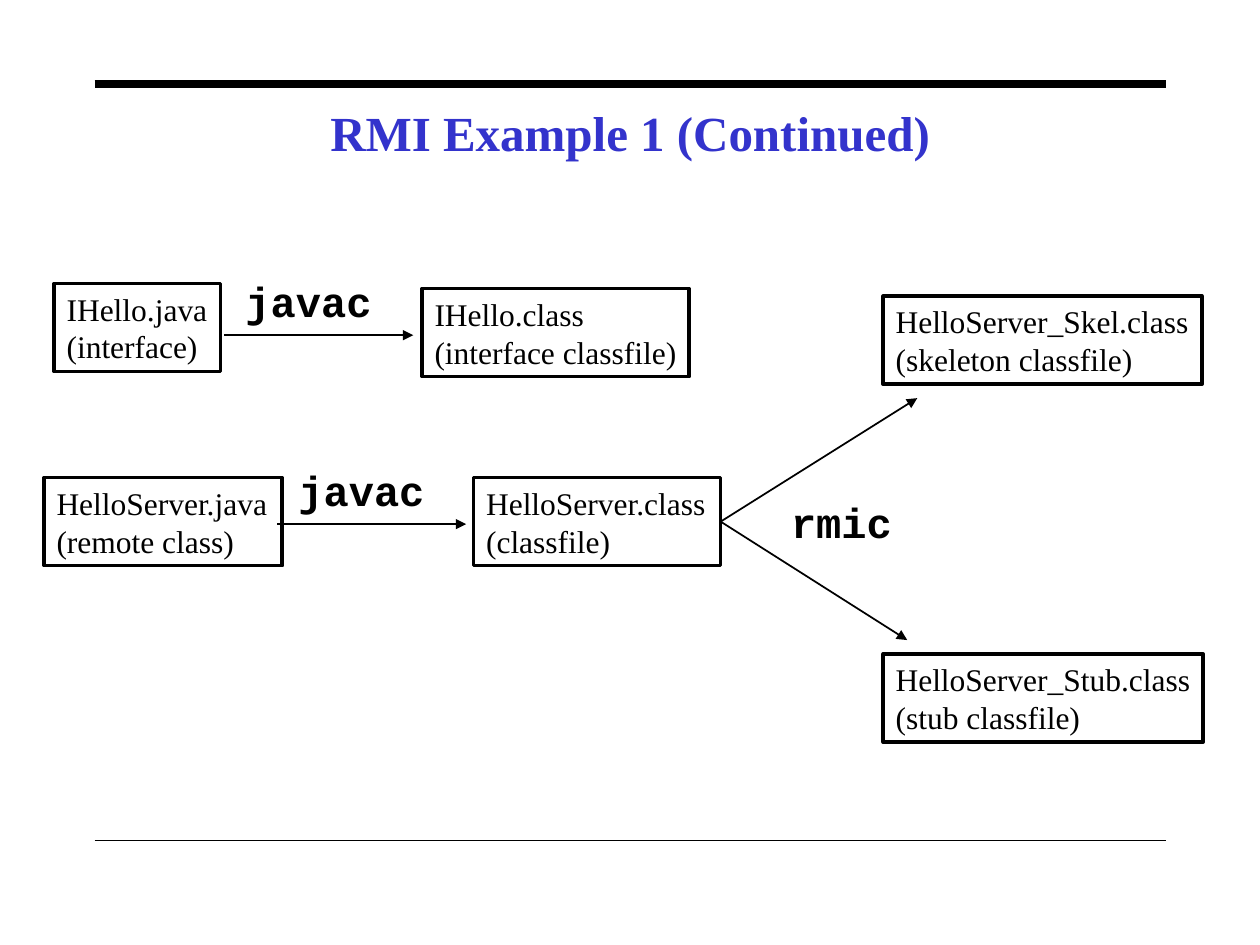
"""Build the slide showing how the RMI example is compiled."""
from dataclasses import dataclass

from lxml import etree
from pptx import Presentation
from pptx import util as u
from pptx.dml.color import RGBColor
from pptx.enum import shapes, text
from pptx.oxml.ns import qn


@dataclass(frozen=True)
class Theme:
    """Colours, fonts, type sizes and line widths."""
    ink: RGBColor = RGBColor(0, 0, 0)
    heading: RGBColor = RGBColor(0x33, 0x33, 0xCC)
    serif: str = "Times New Roman"
    mono: str = "Courier New"
    title_size: int = 28
    command_size: int = 24
    file_size: int = 18
    thick_rule: float = 4.5
    border: float = 2
    thin: float = 1


THEME = Theme()
BOX_HEIGHT = 0.7


def write(frame, lines, font_name, size, color=THEME.ink, bold=False,
          align=text.PP_ALIGN.LEFT):
    """Fill a text frame with one paragraph per line."""
    for index, line in enumerate(lines):
        paragraph = frame.paragraphs[0] if index == 0 else frame.add_paragraph()
        paragraph.alignment = align
        run = paragraph.add_run()
        run.text = line
        run.font.name = font_name
        run.font.size = u.Pt(size)
        run.font.bold = bold
        run.font.color.rgb = color


def fit(frame):
    """Let a frame hug its unwrapped text."""
    frame.word_wrap = False
    frame.auto_size = text.MSO_AUTO_SIZE.SHAPE_TO_FIT_TEXT


def add_title(slide, heading):
    """Place and format the title placeholder."""
    title = slide.shapes.title
    title.left, title.top = u.Inches(0.75), u.Inches(0.67)
    title.width, title.height = u.Inches(8.5), u.Inches(0.75)
    title.text_frame.vertical_anchor = text.MSO_ANCHOR.MIDDLE
    write(title.text_frame, [heading], THEME.serif, THEME.title_size,
          THEME.heading, True, text.PP_ALIGN.CENTER)


def add_line(slide, start, end, width=THEME.thin):
    """Draw a straight line between two points."""
    line = slide.shapes.add_connector(
        shapes.MSO_CONNECTOR.STRAIGHT, *map(u.Inches, start + end))
    line.line.color.rgb = THEME.ink
    line.line.width = u.Pt(width)
    etree.SubElement(line._element.spPr, qn("a:effectLst"))
    return line


def add_arrow(slide, start, end):
    """Draw a line with a triangular head at its end."""
    arrow = add_line(slide, start, end)
    etree.SubElement(arrow.line._get_or_add_ln(), qn("a:tailEnd"), type="triangle")
    return arrow


def add_file(slide, left, top, width, name, role):
    """Draw a bordered box naming a file and its role."""
    box = slide.shapes.add_shape(
        shapes.MSO_SHAPE.RECTANGLE,
        *map(u.Inches, (left, top, width, BOX_HEIGHT)))
    box.shadow.inherit = False
    box.fill.background()
    box.line.color.rgb = THEME.ink
    box.line.width = u.Pt(THEME.border)
    box.text_frame.vertical_anchor = text.MSO_ANCHOR.TOP
    fit(box.text_frame)
    write(box.text_frame, [name, f"({role})"], THEME.serif, THEME.file_size)
    return box


def add_command(slide, left, top, width, command):
    """Label an arrow with the command it stands for."""
    label = slide.shapes.add_textbox(
        *map(u.Inches, (left, top, width, 0.5)))
    fit(label.text_frame)
    write(label.text_frame, [command], THEME.mono, THEME.command_size, bold=True)


def add_javac_step(slide, left, y):
    """Draw a javac arrow with its label above."""
    add_arrow(slide, (left, y), (left + 1.5, y))
    add_command(slide, left + 0.07, y - 0.52, 1.2, "javac")


def main():
    """Build and save the slide."""
    deck = Presentation()
    deck.slide_width, deck.slide_height = u.Inches(10), u.Inches(7.5)
    slide = deck.slides.add_slide(deck.slide_layouts[5])

    for y, width in ((0.67, THEME.thick_rule), (6.67, THEME.thin)):
        add_line(slide, (0.75, y), (9.25, y), width)
    add_title(slide, "RMI Example 1 (Continued)")

    add_file(slide, 0.43, 2.25, 1.32, "IHello.java", "interface")
    add_file(slide, 3.35, 2.29, 2.12, "IHello.class", "interface classfile")
    add_javac_step(slide, 1.78, 2.66)

    add_file(slide, 0.35, 3.79, 1.89, "HelloServer.java", "remote class")
    server_class = add_file(slide, 3.76, 3.79, 1.96, "HelloServer.class", "classfile")
    add_javac_step(slide, 2.2, 4.16)

    add_file(slide, 7.01, 2.35, 2.53, "HelloServer_Skel.class", "skeleton classfile")
    add_file(slide, 7.01, 5.19, 2.54, "HelloServer_Stub.class", "stub classfile")
    add_command(slide, 6.18, 3.89, 1, "rmic")
    for target in ((7.28, 3.16), (7.2, 5.08)):
        rmic_arrow = add_arrow(slide, (5.72, 4.14), target)
        rmic_arrow.begin_connect(server_class, 3)

    deck.save("out.pptx")


if __name__ == "__main__":
    main()
